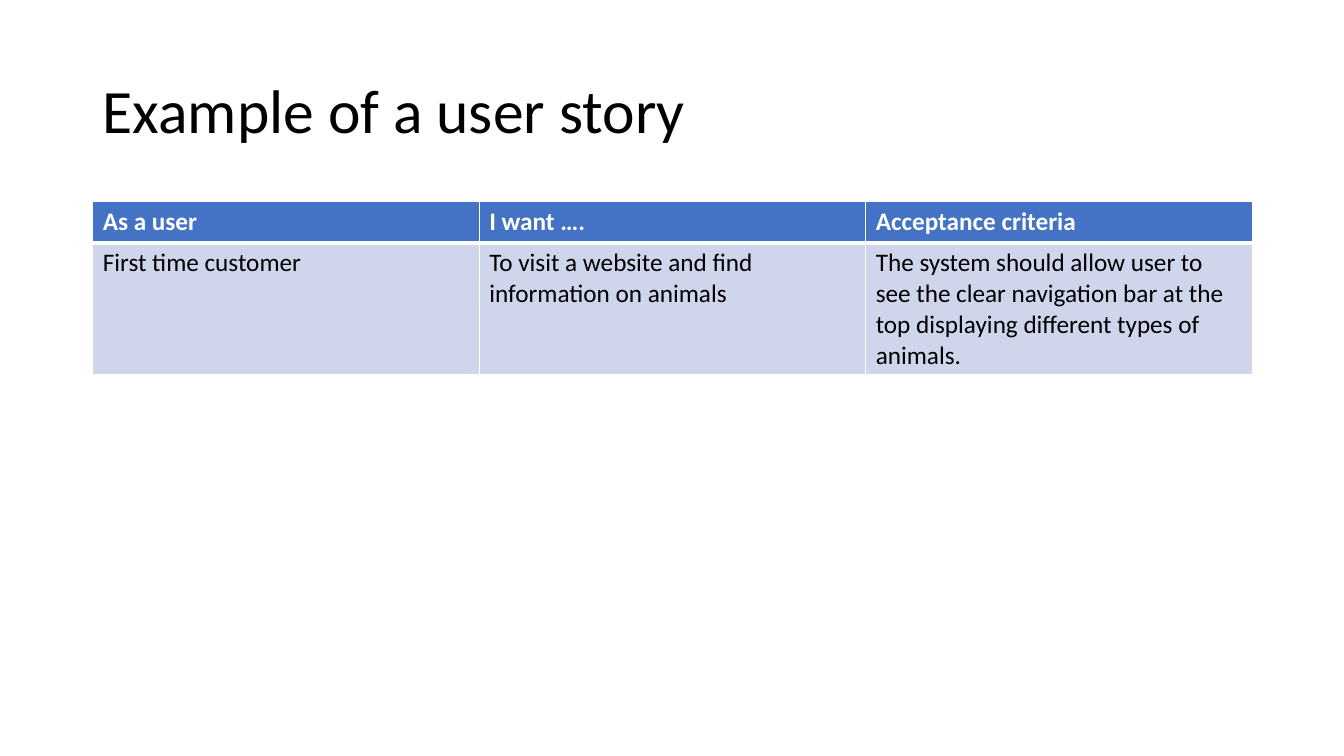
from lxml import etree
from pptx import Presentation, util as u
from pptx.dml.color import RGBColor
from pptx.enum import text
from pptx.oxml.ns import qn

# Content
TITLE = "Example of a user story"
STORY = [
    ["As a user", "I want ….", "Acceptance criteria"],
    [
        "First time customer",
        "To visit a website and find information on animals",
        "The system should allow user to see the clear navigation bar at the "
        "top displaying different types of animals.",
    ],
]

# Style and layout, in px
PX = u.Inches(1) // 100
FONT = "Calibri"
COLORS = {"black": "000000", "white": "FFFFFF", "header": "4472C4", "body": "CFD5EA"}
SLIDE_W, SLIDE_H = 1333, 750
LEFT, WIDTH = 92, 1150
TITLE_TOP, TITLE_H = 40, 145
TABLE_TOP, ROW_HEIGHTS = 200, [41, 131]


def rgb(name):
    return RGBColor.from_string(COLORS[name])


def style(p, size, color, bold=False):
    for r in p.runs:
        r.font.name = FONT
        r.font.size = u.Pt(size)
        r.font.bold = bold
        r.font.color.rgb = rgb(color)


def add_border(cell, side, width):
    tc_pr = cell._tc.get_or_add_tcPr()
    ln = etree.SubElement(tc_pr, qn(f"a:ln{side}"), w=str(u.Pt(width)))
    fill = etree.SubElement(ln, qn("a:solidFill"))
    etree.SubElement(fill, qn("a:srgbClr"), val=COLORS["white"])


prs = Presentation()
prs.slide_width, prs.slide_height = SLIDE_W * PX, SLIDE_H * PX
s = prs.slides.add_slide(prs.slide_layouts[6])

# Title
sp = s.shapes.add_textbox(LEFT * PX, TITLE_TOP * PX, WIDTH * PX, TITLE_H * PX)
tf = sp.text_frame
tf.word_wrap = True
tf.vertical_anchor = text.MSO_ANCHOR.MIDDLE
tf.text = TITLE
tf.paragraphs[0].line_spacing = 0.9
style(tf.paragraphs[0], 44, "black")

# User story table
table = s.shapes.add_table(
    len(STORY), len(STORY[0]), LEFT * PX, TABLE_TOP * PX, WIDTH * PX, sum(ROW_HEIGHTS) * PX
).table
for i, (height, row) in enumerate(zip(ROW_HEIGHTS, STORY)):
    table.rows[i].height = height * PX
    header = i == 0
    borders = {"L": 1, "R": 1, "T": 1 if header else 3, "B": 3 if header else 1}
    for j, words in enumerate(row):
        cell = table.cell(i, j)
        cell.text_frame.text = words
        style(cell.text_frame.paragraphs[0], 18, "white" if header else "black", header)
        for side, width in borders.items():
            add_border(cell, side, width)
        cell.fill.solid()
        cell.fill.fore_color.rgb = rgb("header" if header else "body")

prs.save("out.pptx")
